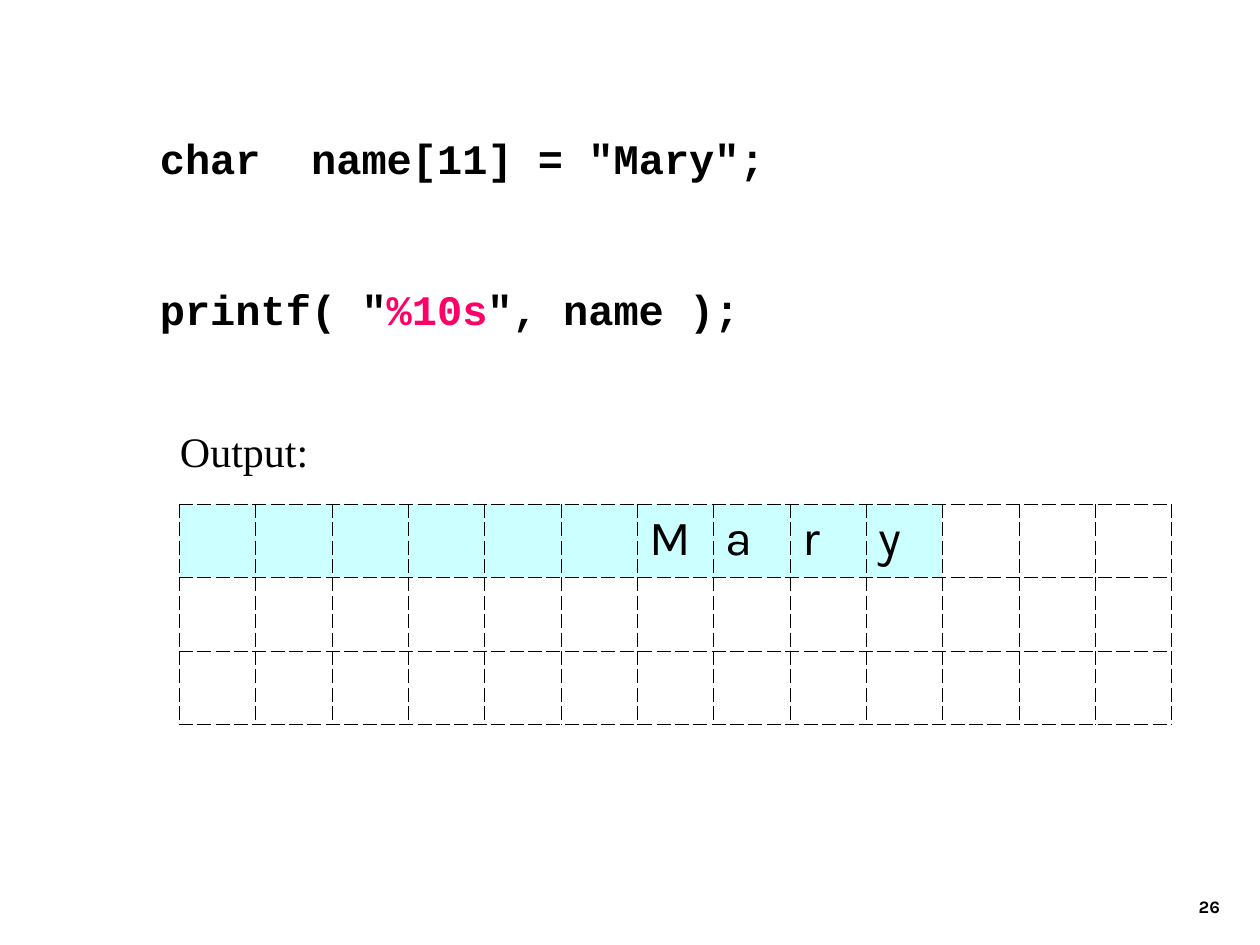
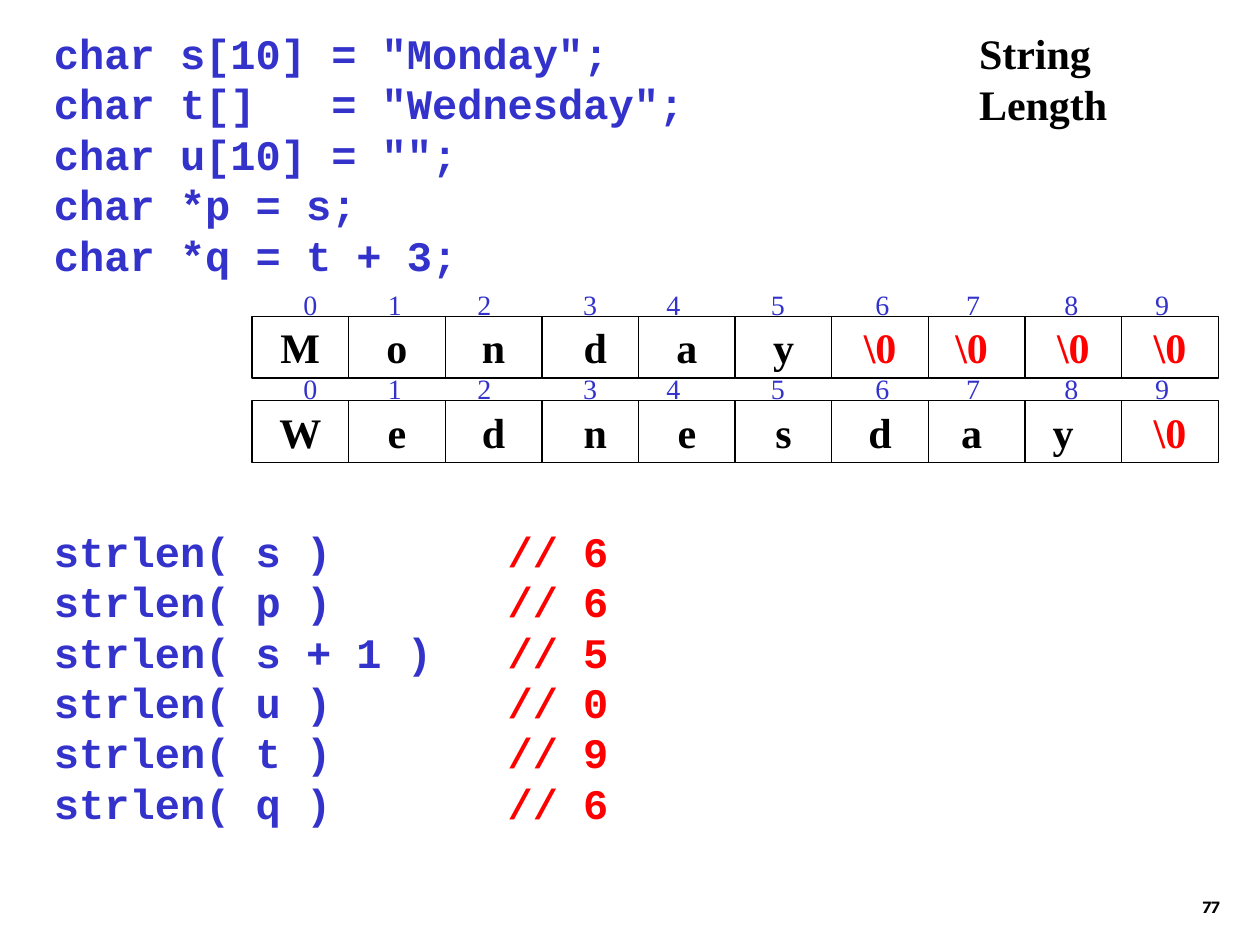
from lxml import etree
from pptx import Presentation
from pptx.dml.color import RGBColor
from pptx.enum.shapes import MSO_SHAPE
from pptx.enum.text import MSO_ANCHOR, MSO_AUTO_SIZE, PP_ALIGN
from pptx.oxml.ns import qn
from pptx.util import Inches, Pt

BLACK = RGBColor(0x00, 0x00, 0x00)
WHITE = RGBColor(0xFF, 0xFF, 0xFF)
PINK = RGBColor(0xFF, 0x00, 0x66)
BLUE = RGBColor(0x33, 0x33, 0xCC)
RED = RGBColor(0xFF, 0x00, 0x00)
CYAN = RGBColor(0xCC, 0xFF, 0xFF)

RECT = MSO_SHAPE.RECTANGLE
TOP, MIDDLE, BOTTOM = MSO_ANCHOR.TOP, MSO_ANCHOR.MIDDLE, MSO_ANCHOR.BOTTOM
LEFT, CENTER, RIGHT = PP_ALIGN.LEFT, PP_ALIGN.CENTER, PP_ALIGN.RIGHT
FIXED = MSO_AUTO_SIZE.NONE

CODE = {"name": "Courier New", "size": Pt(24), "bold": True}
PLAIN = {"name": "Times New Roman", "size": Pt(24), "bold": False}
STRONG = {**PLAIN, "bold": True}
INDEX = {**PLAIN, "size": Pt(16)}
GRID = {"name": "Karla", "size": Pt(28), "bold": False}
NUMBER = {"name": "Karla", "size": Pt(10), "bold": True}

PITCH = 28.8
NUDGE = 0.08
STOPS = (0.31, 0.98, 1.69, 2.53, 3.19, 4.02, 4.85, 5.57, 6.35, 7.07)


class Deck:
    """Hold the shared style and the current slide, and draw each element."""

    def __init__(self):
        self.prs = Presentation()
        self.prs.slide_width = Inches(10)
        self.prs.slide_height = Inches(7.5)
        self.slide = None

    def page(self, layout, number):
        self.slide = self.prs.slides.add_slide(self.prs.slide_layouts[layout])
        self.text((7.7, 6.83, 2.08, 0.5), [[(number, BLACK)]], NUMBER, RIGHT, BOTTOM)

    def line(self, para, runs, style, align=LEFT):
        para.alignment = align
        for words, color in runs:
            run = para.add_run()
            run.text = words
            for key, value in style.items():
                setattr(run.font, key, value)
            run.font.color.rgb = color

    def frame(self, frame, lines, style, align=LEFT, anchor=TOP, wrap=True):
        form = {"auto_size": FIXED, "word_wrap": wrap, "vertical_anchor": anchor}
        for key, value in form.items():
            setattr(frame, key, value)
        for i, runs in enumerate(lines):
            para = frame.add_paragraph() if i else frame.paragraphs[0]
            self.line(para, runs, style, align)
        return frame

    def text(self, box, lines, style, align=LEFT, anchor=TOP):
        shape = self.slide.shapes.add_textbox(*map(Inches, box))
        return self.frame(shape.text_frame, lines, style, align, anchor)

    def title(self, box, words):
        shape = self.slide.shapes.title
        for key, value in zip(("left", "top", "width", "height"), box):
            setattr(shape, key, Inches(value))
        self.frame(shape.text_frame, [[(words, BLACK)]], STRONG, wrap=False)

    def tabs(self, para, stops):
        props = para._p.get_or_add_pPr()
        group = etree.SubElement(props, qn("a:tabLst"))
        for stop in stops:
            etree.SubElement(group, qn("a:tab"), pos=str(Inches(stop)), algn="l")

    def code(self, box, lines, gap=0, stops=()):
        frame = self.text(box, lines, CODE)
        for i, para in enumerate(frame.paragraphs):
            para.line_spacing = Pt(PITCH)
            para.space_before = Pt(gap if i else 0)
            if stops:
                self.tabs(para, stops)

    def border(self, cell):
        props = cell._tc.get_or_add_tcPr()
        for side in ("lnL", "lnR", "lnT", "lnB"):
            edge = etree.SubElement(props, qn(f"a:{side}"), w=str(Pt(0.11)))
            fill = etree.SubElement(edge, qn("a:solidFill"))
            etree.SubElement(fill, qn("a:srgbClr"), val=str(BLACK))
            etree.SubElement(edge, qn("a:prstDash"), val="dash")

    def table(self, box, rows, cols, word, width):
        table = self.slide.shapes.add_table(rows, cols, *map(Inches, box)).table
        table.first_row = table.horz_banding = False
        for r in range(rows):
            for c in range(cols):
                cell = table.cell(r, c)
                self.border(cell)
                field = r == 0 and c < width
                cell.fill.solid()
                cell.fill.fore_color.rgb = CYAN if field else WHITE
                start = width - len(word)
                if field and c >= start:
                    self.line(cell.text_frame.paragraphs[0],
                              [(word[c - start], BLACK)], GRID)

    def array(self, top, marks, shifts):
        digits = "".join(f"\t{i}" for i in range(len(marks)))
        frame = self.text((2, top, 7.67, 0.49), [[(digits, BLUE)]], INDEX, anchor=MIDDLE)
        self.tabs(frame.paragraphs[0], STOPS)
        wide = 7.67 / len(marks)
        for i, mark in enumerate(marks):
            box = (2 + i * wide, top + 0.34, wide, 0.49)
            shape = self.slide.shapes.add_shape(RECT, *map(Inches, box))
            shape.shadow.inherit = False
            shape.fill.background()
            shape.line.color.rgb = BLACK
            shape.line.width = Pt(0.75)
            color = RED if mark == "\\0" else BLACK
            frame = self.frame(shape.text_frame, [[(mark, color)]], STRONG,
                               CENTER, MIDDLE, False)
            shift = shifts.get(i, 0) * NUDGE
            frame.margin_left = Inches(0.1 + max(shift, 0))
            frame.margin_right = Inches(0.1 + max(-shift, 0))


def main():
    deck = Deck()

    deck.page(6, "26")
    deck.code((1.17, 1, 6.92, 1.7), [
        [('char  name[11] = "Mary";', BLACK)],
        [('printf( "', BLACK), ("%10s", PINK), ('", name );', BLACK)],
    ], gap=2 * PITCH)
    deck.text((1.33, 3.33, 3.5, 0.5), [[("Output:", BLACK)]], PLAIN)
    deck.table((1.42, 4, 7.88, 1.75), 3, 13, "Mary", 10)

    deck.page(5, "77")
    deck.title((7.67, 0.17, 2.19, 0.5), "String Length")
    setup = ('char s[10] = "Monday";', 'char t[]   = "Wednesday";',
             'char u[10] = "";', "char *p = s;", "char *q = t + 3;")
    deck.code((0.33, 0.17, 7.42, 2.5), [[(line, BLUE)] for line in setup])
    deck.array(2.17, [*"Monday"] + ["\\0"] * 4, {3: 1, 7: -1})
    deck.array(2.84, [*"Wednesday", "\\0"], {3: 1, 7: -1, 8: -2})
    calls = (("s", 6), ("p", 6), ("s + 1", 5), ("u", 0), ("t", 9), ("q", 6))
    deck.code((0.33, 4.12, 6.42, 2.9), [
        [(f"strlen( {arg} )\t", BLUE), (f"// {size}", RED)] for arg, size in calls
    ], stops=(3.6,))

    deck.prs.save("out.pptx")


if __name__ == "__main__":
    main()
